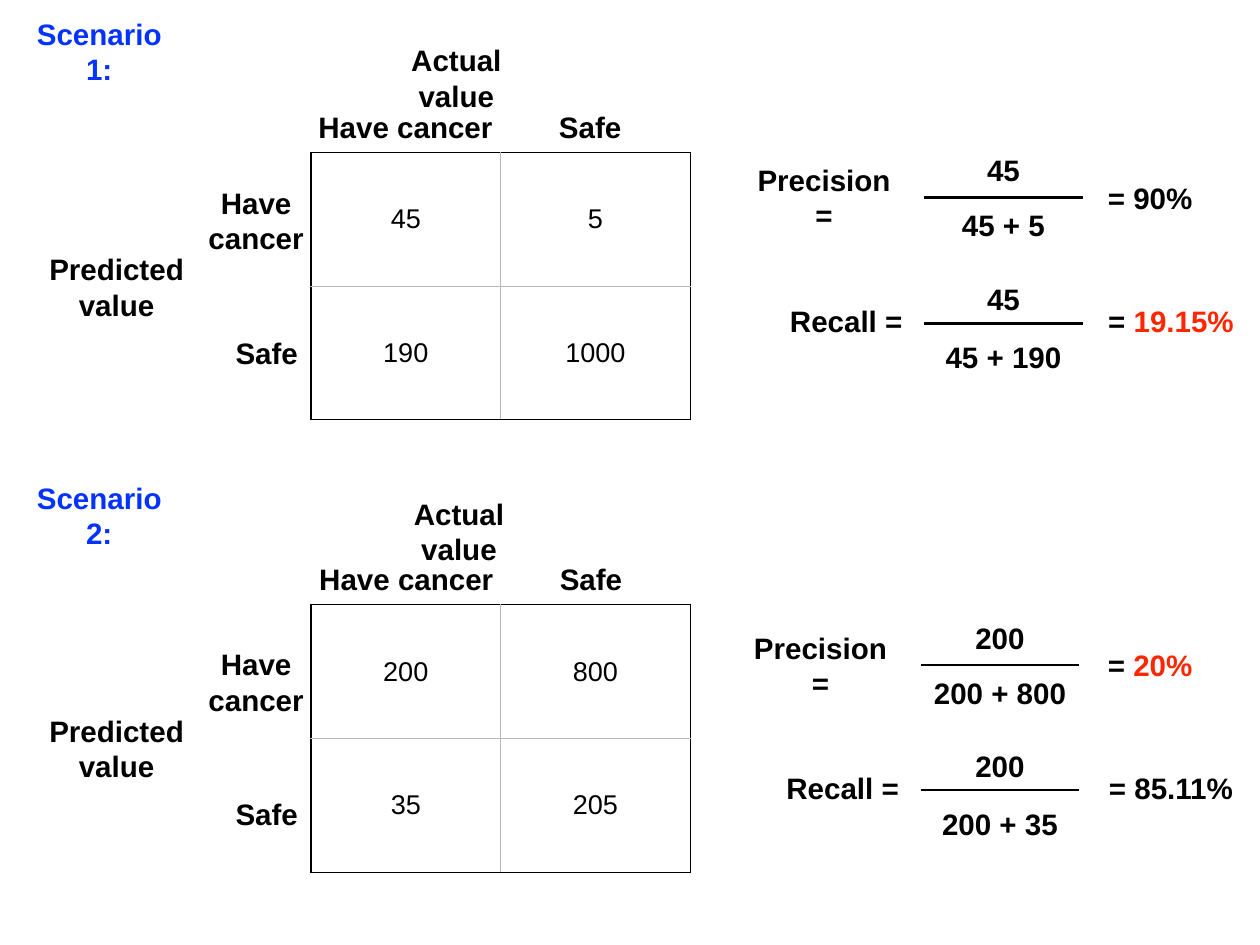
from dataclasses import dataclass
from lxml.etree import SubElement
from pptx import Presentation
from pptx.dml.color import RGBColor
from pptx.enum.shapes import MSO_CONNECTOR
from pptx.enum.text import MSO_ANCHOR, PP_ALIGN
from pptx.oxml import parse_xml
from pptx.oxml.ns import nsdecls, qn
from pptx.util import Inches, Pt


@dataclass(frozen=True)
class Theme:
    font: str = "Arial"
    label_size: int = 24
    cell_size: int = 22
    black: str = "000000"
    white: str = "FFFFFF"
    gray: str = "B8B8B8"
    blue: str = "0433FF"
    red: str = "FF2600"


theme = Theme()
INSET = Inches(0.06)
LINE_HEIGHT = 0.5
PAIR_HEIGHT = 0.91
BAR_WIDTH = 1.79
CELL_WIDTH, CELL_HEIGHT = 2.14, 1.51
TERM_WIDTHS = {"45": 0.5, "200": 0.68, "45 + 5": 1.07, "45 + 190": 1.44,
               "200 + 800": 1.62, "200 + 35": 1.44}

scenarios = [
    dict(name="Scenario 1:", name_top=0.12, actual=(4.5, 0.42), header=(3.52, 1.18),
         table_top=1.72, rows_top=2.03, bar_left=10.43,
         counts=[["45", "5"], ["190", "1000"]],
         formulas=[("Precision =", 2.23, "45", "45 + 5", "90%", theme.black),
                   ("Recall =", 3.65, "45", "45 + 190", "19.15%", theme.red)]),
    dict(name="Scenario 2:", name_top=5.36, actual=(4.53, 5.54), header=(3.53, 6.28),
         table_top=6.83, rows_top=7.24, bar_left=10.39,
         counts=[["200", "800"], ["35", "205"]],
         formulas=[("Precision =", 7.51, "200", "200 + 800", "20%", theme.red),
                   ("Recall =", 8.92, "200", "200 + 35", "85.11%", theme.black)]),
]
formula_layout = {
    "Precision =": dict(width=1.9, lift=0.25, above=0.56, below=0.06, result_width=1.12),
    "Recall =": dict(width=1.4, lift=0.28, above=0.53, below=0.13, result_width=1.59),
}

deck = Presentation()
deck.slide_width, deck.slide_height = Inches(14.22), Inches(10.67)
page = deck.slides.add_slide(deck.slide_layouts[6])


def style_paragraph(para, size, color, bold):
    para.alignment = PP_ALIGN.CENTER
    para.font.name = theme.font
    para.font.size = Pt(size)
    para.font.bold = bold
    para.font.color.rgb = RGBColor.from_string(color)


def add_label(lines, left, top, width, height=LINE_HEIGHT, color=theme.black, wrap=False):
    box = page.shapes.add_textbox(Inches(left), Inches(top), Inches(width), Inches(height))
    frame = box.text_frame
    frame.word_wrap = wrap
    frame.vertical_anchor = MSO_ANCHOR.MIDDLE
    frame.margin_left = frame.margin_right = frame.margin_top = frame.margin_bottom = INSET
    frame.text = lines
    for para in frame.paragraphs:
        style_paragraph(para, theme.label_size, color, True)
    return frame.paragraphs[0]


for scenario in scenarios:
    add_label(scenario["name"], 0.32, scenario["name_top"], 1.6, PAIR_HEIGHT, theme.blue, True)
    add_label("Actual value", *scenario["actual"], 1.3, PAIR_HEIGHT, wrap=True)
    header_left, header_top = scenario["header"]
    add_label("Have cancer", header_left, header_top, 2.11)
    add_label("Safe", header_left + 2.72, header_top, 0.84)

    rows_top = scenario["rows_top"]
    add_label("Predicted\nvalue", 0.44, rows_top + 0.75, 1.75, PAIR_HEIGHT)
    add_label("Have\ncancer", 2.28, rows_top, 1.22, PAIR_HEIGHT)
    add_label("Safe", 2.59, rows_top + 1.7, 0.84)

    matrix = page.shapes.add_table(
        2, 2, Inches(3.51), Inches(scenario["table_top"]),
        Inches(2 * CELL_WIDTH), Inches(2 * CELL_HEIGHT)).table
    matrix.first_row = matrix.horz_banding = False
    for index in range(2):
        matrix.columns[index].width = Inches(CELL_WIDTH)
        matrix.rows[index].height = Inches(CELL_HEIGHT)
    for row, counts in enumerate(scenario["counts"]):
        for column, count in enumerate(counts):
            cell = matrix.cell(row, column)
            cell.text = count
            cell.vertical_anchor = MSO_ANCHOR.MIDDLE
            cell.margin_left = cell.margin_right = cell.margin_top = cell.margin_bottom = INSET
            style_paragraph(cell.text_frame.paragraphs[0], theme.cell_size, theme.black, False)
            cell.fill.solid()
            cell.fill.fore_color.rgb = RGBColor.from_string(theme.white)
            outer_sides = {"lnL": column == 0, "lnR": column == 1,
                           "lnT": row == 0, "lnB": row == 1}
            for position, (side, outer) in enumerate(outer_sides.items()):
                color = theme.black if outer else theme.gray
                border = parse_xml(
                    f'<a:{side} {nsdecls("a")} w="{Pt(1)}"><a:solidFill>'
                    f'<a:srgbClr val="{color}"/></a:solidFill></a:{side}>')
                cell._tc.get_or_add_tcPr().insert(position, border)

    bar_left = scenario["bar_left"]
    bar_center = bar_left + BAR_WIDTH / 2
    for name, bar_top, numerator, denominator, result, color in scenario["formulas"]:
        layout = formula_layout[name]
        label_top = bar_top - layout["lift"]
        add_label(name, bar_left - 0.18 - layout["width"], label_top, layout["width"])
        for term, top in ((numerator, bar_top - layout["above"]),
                          (denominator, bar_top + layout["below"])):
            width = TERM_WIDTHS[term]
            add_label(term, bar_center - width / 2, top, width)
        para = add_label("= ", 12.42, label_top, layout["result_width"])
        span = para.add_run()
        span.text = result
        span.font.color.rgb = RGBColor.from_string(color)
        bar = page.shapes.add_connector(
            MSO_CONNECTOR.STRAIGHT, Inches(bar_left), Inches(bar_top),
            Inches(bar_left + BAR_WIDTH), Inches(bar_top))
        bar.line.color.rgb = RGBColor.from_string(theme.black)
        bar.line.width = Pt(2)
        SubElement(bar._element.spPr, qn("a:effectLst"))

deck.save("out.pptx")
